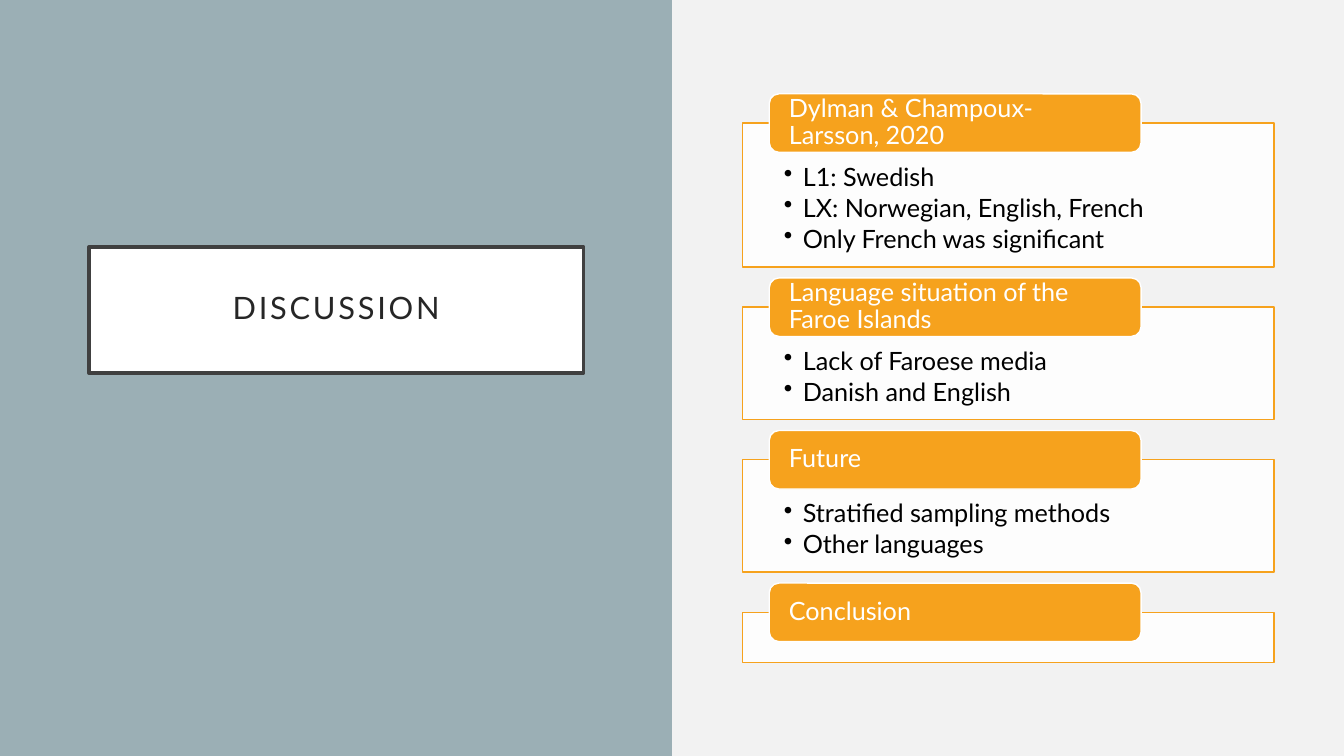
from dataclasses import dataclass

from lxml.etree import SubElement
from pptx import Presentation
from pptx.dml.color import RGBColor
from pptx.enum.shapes import MSO_SHAPE
from pptx.enum.text import MSO_ANCHOR, PP_ALIGN
from pptx.oxml.ns import qn
from pptx.shapes.autoshape import Shape
from pptx.slide import Slide
from pptx.util import Pt

COLORS = {
    "background": "F2F2F2",
    "panel": "9BAFB5",
    "white": "FFFFFF",
    "title_border": "404040",
    "title_text": "262626",
    "accent": "F6A21D",
    "body_text": "000000",
}
FONT = "Lato"
TEXT_SIZE = 18
LINE_SPACING = 0.9

SECTION_LEFT, SECTION_TOP, SECTION_WIDTH = 530.5, 87.9, 379.5
SECTION_GAP = 28.7
HEADER_INDENT, HEADER_RISE = 19, 20.9
HEADER_WIDTH, HEADER_HEIGHT = 265.6, 41.8
BULLET_INDENT = 13.5


@dataclass
class Section:
    heading: str
    bullets: list[str]
    height: float


@dataclass
class Box:
    left: float
    top: float
    width: float
    height: float
    fill: str
    border: str | None = None
    border_width: float = 1
    kind: MSO_SHAPE = MSO_SHAPE.RECTANGLE


@dataclass
class TextStyle:
    size: float
    color: str
    margins: tuple[float, float, float, float]
    anchor: MSO_ANCHOR = MSO_ANCHOR.MIDDLE
    align: PP_ALIGN = PP_ALIGN.LEFT
    space_after: float = 0


SECTIONS = [
    Section(
        "Dylman & Champoux-Larsson, 2020",
        ["L1: Swedish", "LX: Norwegian, English, French", "Only French was significant"],
        102.8,
    ),
    Section(
        "Language situation of the Faroe Islands",
        ["Lack of Faroese media", "Danish and English"],
        80.3,
    ),
    Section("Future", ["Stratified sampling methods", "Other languages"], 80.3),
    Section("Conclusion", [], 35.8),
]

TITLE_STYLE = TextStyle(22, "title_text", (14.4, 14.4, 14.4, 14.4), align=PP_ALIGN.CENTER)
HEADER_STYLE = TextStyle(TEXT_SIZE, "white", (12, 0, 12, 0))
BODY_STYLE = TextStyle(
    TEXT_SIZE, "body_text", (29.5, 29.5, 29.5, 10), MSO_ANCHOR.TOP, space_after=0.15 * TEXT_SIZE
)


def color(name: str) -> RGBColor:
    return RGBColor.from_string(COLORS[name])


def add_box(page: Slide, box: Box) -> Shape:
    shape = page.shapes.add_shape(
        box.kind, Pt(box.left), Pt(box.top), Pt(box.width), Pt(box.height)
    )
    shape.shadow.inherit = False
    shape.fill.solid()
    shape.fill.fore_color.rgb = color(box.fill)
    if box.border:
        shape.line.color.rgb = color(box.border)
        shape.line.width = Pt(box.border_width)
    else:
        shape.line.fill.background()
    return shape


def write_text(shape: Shape, lines: list[str], style: TextStyle) -> None:
    frame = shape.text_frame
    frame.text = "\n".join(lines)
    frame.word_wrap = True
    frame.vertical_anchor = style.anchor
    frame.margin_left, frame.margin_top, frame.margin_right, frame.margin_bottom = map(
        Pt, style.margins
    )
    for para in frame.paragraphs:
        para.alignment = style.align
        para.line_spacing = LINE_SPACING
        para.space_after = Pt(style.space_after)
        for span in para.runs:
            span.font.name = FONT
            span.font.size = Pt(style.size)
            span.font.color.rgb = color(style.color)


def add_bullets(shape: Shape) -> None:
    for para in shape.text_frame.paragraphs:
        properties = para._p.get_or_add_pPr()
        properties.set("marL", str(Pt(BULLET_INDENT)))
        properties.set("indent", str(-Pt(BULLET_INDENT)))
        SubElement(properties, qn("a:buChar"), char="•")


def set_opacity(shape: Shape, percent: int) -> None:
    fill_color = shape.fill._xPr.find(qn("a:solidFill"))[0]
    SubElement(fill_color, qn("a:alpha"), val=str(percent * 1000))


def add_title(page: Slide) -> None:
    title = add_box(page, Box(63.4, 176.4, 353.5, 90, "white", "title_border", 2.5))
    write_text(title, ["DISCUSSION"], TITLE_STYLE)
    for span in title.text_frame.paragraphs[0].runs:
        span.font._element.set("spc", "200")


def add_section(page: Slide, section: Section, top: float) -> None:
    body = add_box(
        page, Box(SECTION_LEFT, top, SECTION_WIDTH, section.height, "white", "accent")
    )
    set_opacity(body, 90)
    if section.bullets:
        write_text(body, section.bullets, BODY_STYLE)
        add_bullets(body)
    header = add_box(
        page,
        Box(
            SECTION_LEFT + HEADER_INDENT,
            top - HEADER_RISE,
            HEADER_WIDTH,
            HEADER_HEIGHT,
            "accent",
            "white",
            kind=MSO_SHAPE.ROUNDED_RECTANGLE,
        ),
    )
    write_text(header, [section.heading], HEADER_STYLE)


def main() -> None:
    deck = Presentation()
    deck.slide_width, deck.slide_height = Pt(960), Pt(540)
    page = deck.slides.add_slide(deck.slide_layouts[6])
    page.background.fill.solid()
    page.background.fill.fore_color.rgb = color("background")

    add_box(page, Box(0, 0, 480, 540, "panel"))
    add_title(page)
    top = SECTION_TOP
    for section in SECTIONS:
        add_section(page, section, top)
        top += section.height + SECTION_GAP

    deck.save("out.pptx")


if __name__ == "__main__":
    main()
